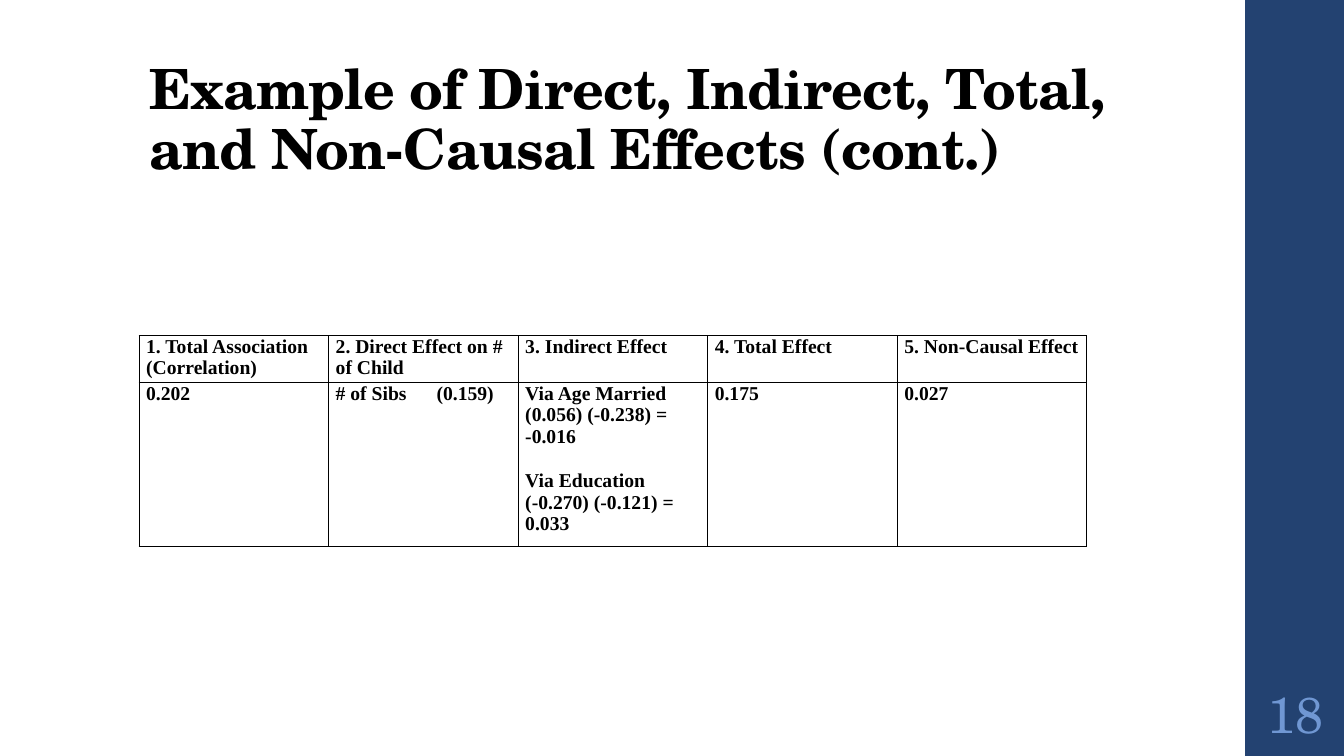
from lxml import etree
from pptx import Presentation
from pptx.dml.color import RGBColor
from pptx.enum.shapes import MSO_SHAPE
from pptx.enum.text import MSO_ANCHOR, MSO_AUTO_SIZE, PP_ALIGN
from pptx.oxml.ns import qn
from pptx.util import Emu, Pt

RECT = MSO_SHAPE.RECTANGLE
MIDDLE, BOTTOM = MSO_ANCHOR.MIDDLE, MSO_ANCHOR.BOTTOM
CENTER, LEFT = PP_ALIGN.CENTER, PP_ALIGN.LEFT
FIXED = MSO_AUTO_SIZE.NONE
SCALE = 9144
SCHOLA, TIMES = "TeX Gyre Schola", "Times New Roman"
BLACK, NAVY, SKY = "000000", "234271", "7097D3"

TITLE = "Example of Direct, Indirect, Total, and Non-Causal Effects (cont.)"
HEADS = [
    "1. Total Association (Correlation)",
    "2. Direct Effect on # of Child",
    "3. Indirect Effect",
    "4. Total Effect",
    "5. Non-Causal Effect",
]
PATHS = "Via Age Married\n(0.056) (-0.238) = -0.016\nVia Education\n(-0.270) (-0.121) = 0.033"
VALUES = ["0.202", "# of Sibs \t(0.159)", PATHS, "0.175", "0.027"]
HEIGHTS = [45, 159]


def px(n):
    return Emu(n * SCALE)


def color(code):
    return RGBColor.from_string(code)


def assign(item, values):
    for name, value in values.items():
        setattr(item, name, value)


def style(run, face, size, code, bold=False):
    assign(run.font, {"name": face, "size": Pt(size), "bold": bold})
    run.font.color.rgb = color(code)


def place(shape, left, top, width, height):
    assign(shape, {"left": px(left), "top": px(top),
                   "width": px(width), "height": px(height)})


def add_title(slide):
    title = slide.shapes.title
    place(title, 138, 40, 1060, 145)
    frame = title.text_frame
    assign(frame, {"text": TITLE, "word_wrap": True, "auto_size": FIXED,
                   "vertical_anchor": BOTTOM})
    para = frame.paragraphs[0]
    assign(para, {"alignment": LEFT, "line_spacing": 0.9})
    run = para.runs[0]
    style(run, SCHOLA, 39.6, BLACK, True)
    run.font._element.set("spc", "-50")


def add_bar(slide):
    bar = slide.shapes.add_shape(RECT, px(1235), 0, px(100), px(750))
    bar.shadow.inherit = False
    bar.fill.solid()
    bar.fill.fore_color.rgb = color(NAVY)
    bar.line.fill.background()


def add_number(slide, text):
    box = slide.shapes.add_textbox(px(1235), px(675), px(100), px(65))
    frame = box.text_frame
    inset = px(5)
    assign(frame, {"text": text, "word_wrap": True, "vertical_anchor": MIDDLE,
                   "margin_left": inset, "margin_right": inset,
                   "margin_top": inset, "margin_bottom": inset})
    para = frame.paragraphs[0]
    para.alignment = CENTER
    style(para.runs[0], SCHOLA, 36, SKY)


def add_edges(cell):
    props = cell._tc.get_or_add_tcPr()
    for side in ("lnL", "lnR", "lnT", "lnB"):
        line = etree.SubElement(props, qn(f"a:{side}"), w=str(Pt(1)))
        fill = etree.SubElement(line, qn("a:solidFill"))
        etree.SubElement(fill, qn("a:srgbClr"), val=BLACK)


def fill_cell(cell, text):
    assign(cell, {"text": text, "margin_left": px(7), "margin_right": px(7),
                  "margin_top": 0, "margin_bottom": 0})
    for index, para in enumerate(cell.text_frame.paragraphs):
        style(para.runs[0], TIMES, 14, BLACK, True)
        if index == 2:
            para.space_before = Pt(16)
    add_edges(cell)
    cell.fill.background()


def add_grid(slide):
    rows = [HEADS, VALUES]
    frame = slide.shapes.add_table(len(rows), len(HEADS), px(138), px(333),
                                   px(188 * len(HEADS)), px(sum(HEIGHTS)))
    table = frame.table
    assign(table, {"first_row": False, "horz_banding": False})
    for column in table.columns:
        column.width = px(188)
    for r, texts in enumerate(rows):
        table.rows[r].height = px(HEIGHTS[r])
        for c, text in enumerate(texts):
            fill_cell(table.cell(r, c), text)


def main():
    deck = Presentation()
    assign(deck, {"slide_width": px(1333), "slide_height": px(750)})
    slide = deck.slides.add_slide(deck.slide_layouts[5])
    add_bar(slide)
    add_title(slide)
    add_number(slide, "18")
    add_grid(slide)
    deck.save("out.pptx")


if __name__ == "__main__":
    main()
